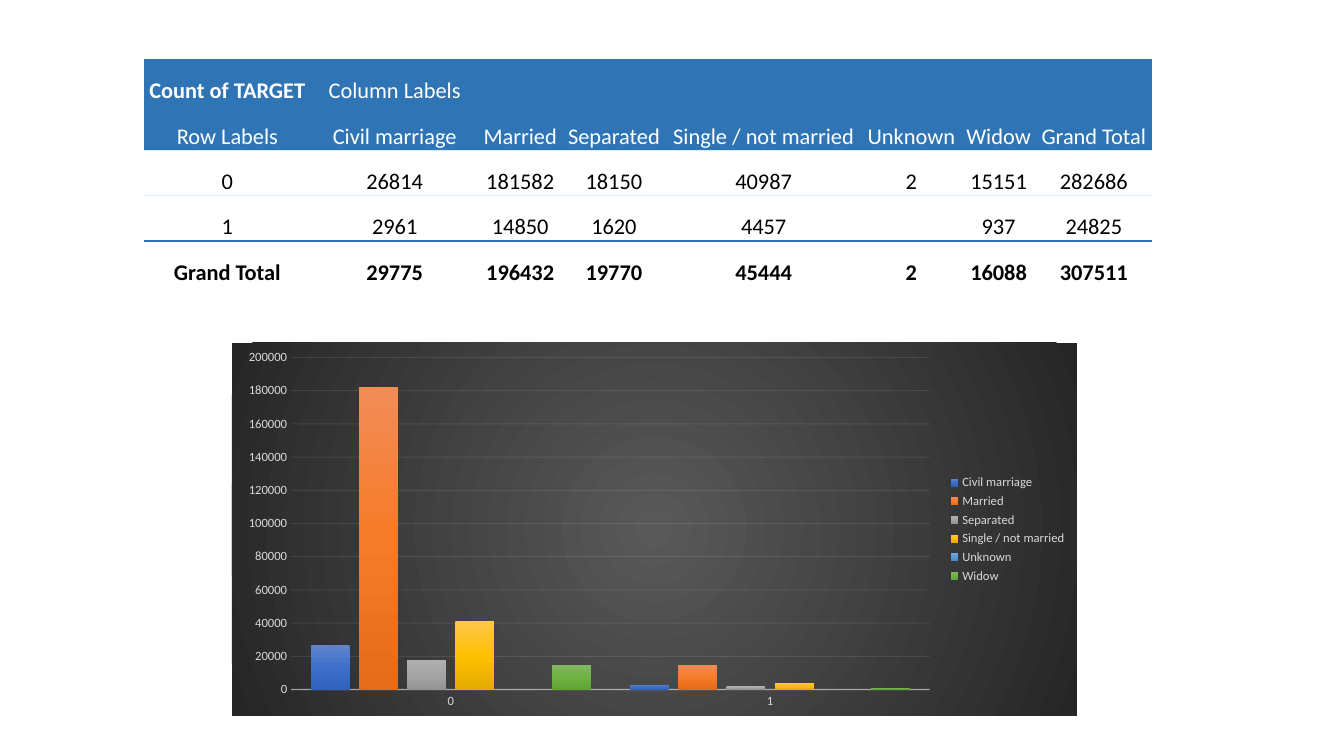
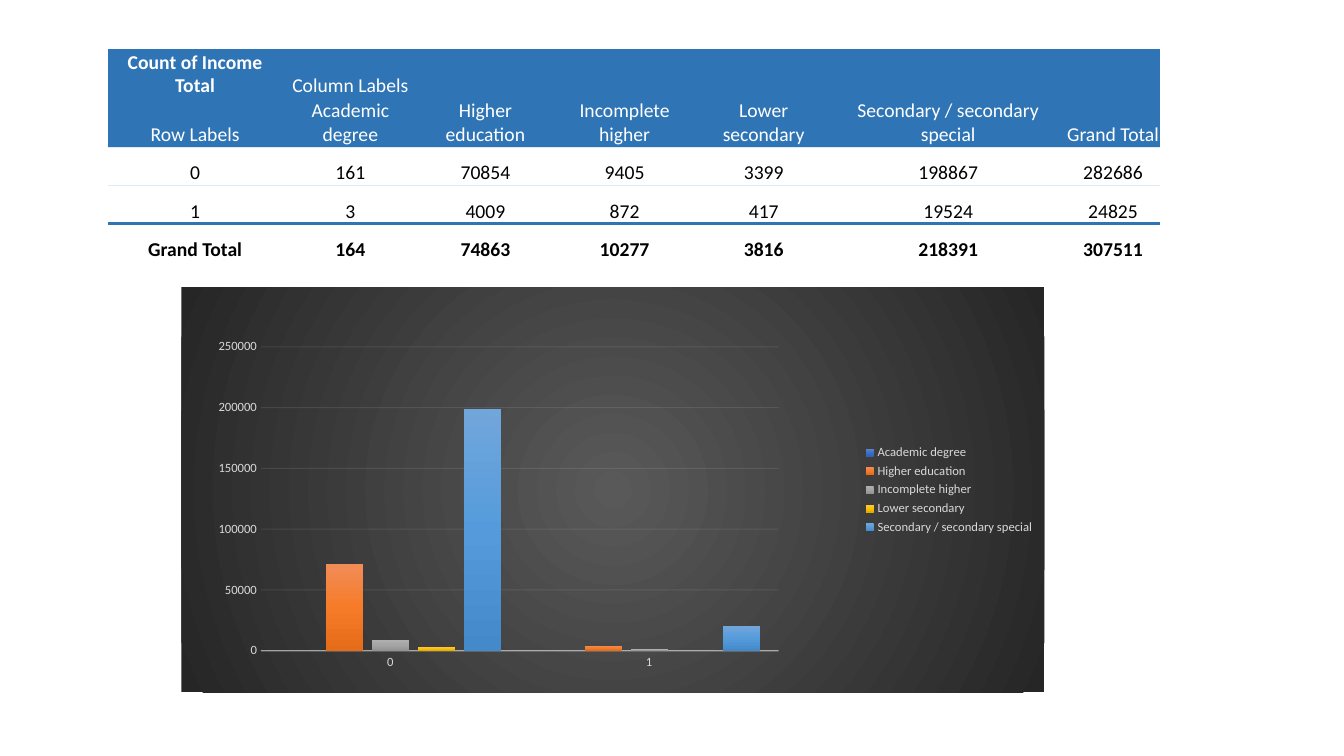
from dataclasses import dataclass

from lxml import etree
from pptx import Presentation
from pptx import util as u
from pptx.chart import data as cd
from pptx.dml import color as dc
from pptx.enum import chart as ec
from pptx.enum import text as et
from pptx.oxml import ns


@dataclass(frozen=True)
class Theme:
    font: str = "Calibri"
    blue: str = "2F75B5"
    pale: str = "DDEBF7"
    white: str = "FFFFFF"
    black: str = "000000"
    label: str = "D9D9D9"
    rule: str = "F2F2F2"
    small: int = 9
    base: int = 10
    panel: tuple = ("595959", "262626")
    bars: tuple = (
        ("6183CB", "3E70CA", "3062BB"),
        ("F18C57", "F67B28", "E56C19"),
        ("AFAFAF", "A5A5A5", "939393"),
        ("FFC64B", "FFC000", "E3AB00"),
        ("71A6DB", "559BDB", "448ACA"),
        ("81B861", "6FB242", "62A336"),
    )


def put(item, **vals):
    for key, val in vals.items():
        setattr(item, key, val)


def node(top, tag, **vals):
    return etree.SubElement(top, ns.qn(tag), {k: str(v) for k, v in vals.items()})


def trim(val):
    return None if val is None else round(val, -3)


class Deck:
    def __init__(self, theme):
        self.theme = theme
        self.deck = Presentation()
        put(self.deck, slide_width=u.Inches(13.33), slide_height=u.Inches(7.5))
        self.slide = None

    def page(self):
        self.slide = self.deck.slides.add_slide(self.deck.slide_layouts[6])

    def style(self, font, size, tint, bold=False):
        put(font, name=self.theme.font, size=u.Pt(size), bold=bold)
        font.color.rgb = dc.RGBColor.from_string(tint)

    def grade(self, top, tints, round_fill=False):
        fill = node(top, "a:gradFill", rotWithShape=1)
        stops = node(fill, "a:gsLst")
        for i, tint in enumerate(tints):
            stop = node(stops, "a:gs", pos=100000 * i // (len(tints) - 1))
            node(stop, "a:srgbClr", val=tint)
        if round_fill:
            way = node(fill, "a:path", path="circle")
            node(way, "a:fillToRect", **dict.fromkeys("ltrb", 50000))
        else:
            node(fill, "a:lin", ang=5400000, scaled=0)

    def edge(self, cell, tag, tint, width):
        line = node(cell._tc.get_or_add_tcPr(), tag, w=u.Pt(width))
        node(node(line, "a:solidFill"), "a:srgbClr", val=tint)

    def table(self, rows, spot, cols, high, size):
        t = self.theme
        left, top = spot
        box = [u.Inches(v) for v in (left, top, sum(cols), high * len(rows))]
        grid = self.slide.shapes.add_table(len(rows), len(cols), *box).table
        put(grid, first_row=False, horz_banding=False)
        grid._tbl.tblPr.find(ns.qn("a:tableStyleId")).text = "{2D5ABB26-0587-4C30-8999-92F81FD0307C}"
        for col, width in zip(grid.columns, cols):
            col.width = u.Inches(width)
        thin, pale, thick = (t.blue, 0.5), (t.pale, 0.5), (t.blue, 2)
        edges = [None, thin, pale, pale, thick, None]
        pad = u.Inches(0.01)
        form = dict(margin_left=pad, margin_top=pad, margin_right=pad, margin_bottom=0,
                    vertical_anchor=et.MSO_ANCHOR.BOTTOM)
        for r, row in enumerate(rows):
            grid.rows[r].height = u.Inches(high)
            head = r < 2
            for c in range(len(cols)):
                cell = grid.cell(r, c)
                put(cell, **form)
                for tag, look in zip(("a:lnT", "a:lnB"), edges[r:r + 2]):
                    if look:
                        self.edge(cell, tag, *look)
                if head:
                    cell.fill.solid()
                    cell.fill.fore_color.rgb = dc.RGBColor.from_string(t.blue)
                else:
                    cell.fill.background()
                if c < len(row) and row[c] is not None:
                    para = cell.text_frame.paragraphs[0]
                    para.alignment = et.PP_ALIGN.CENTER
                    run = para.add_run()
                    run.text = str(row[c])
                    bold = r == len(rows) - 1 or r == c == 0
                    self.style(run.font, size, t.white if head else t.black, bold)

    def chart(self, rows, box, plot=None):
        t = self.theme
        body = rows[2:-1]
        data = cd.CategoryChartData()
        data.categories = [row[0] for row in body]
        for c, name in enumerate(rows[1][1:-1], 1):
            data.add_series(name, [trim(row[c]) for row in body])
        chart = self.slide.shapes.add_chart(
            ec.XL_CHART_TYPE.COLUMN_CLUSTERED, *[u.Inches(v) for v in box], data).chart
        put(chart, has_title=False, has_legend=True)
        self.style(chart.font, t.base, t.black)
        put(chart.legend, position=ec.XL_LEGEND_POSITION.RIGHT, include_in_layout=False)
        self.style(chart.legend.font, t.small, t.label)
        put(chart.plots[0], gap_width=100, overlap=-24, vary_by_categories=False)

        cat, val = chart.category_axis, chart.value_axis
        none = ec.XL_TICK_MARK.NONE
        for axis in (cat, val):
            put(axis, major_tick_mark=none, minor_tick_mark=none)
            self.style(axis.tick_labels.font, t.small, t.label)
        val.format.line.fill.background()
        val.has_major_gridlines = True
        root = chart.element
        for part, width, alpha, where in (
                (cat, 1, 54, "c:catAx/c:spPr"),
                (val.major_gridlines, 0.75, 10, "c:valAx/c:majorGridlines")):
            line = part.format.line
            line.width = u.Pt(width)
            line.color.rgb = dc.RGBColor.from_string(t.rule)
            node(root.xpath(f".//{where}//a:srgbClr")[0], "a:alpha", val=alpha * 1000)

        for ser, tints in zip(root.iter(ns.qn("c:ser")), t.bars):
            self.grade(ser.get_or_add_spPr(), tints)
        panel = etree.Element(ns.qn("c:spPr"))
        self.grade(panel, t.panel, True)
        node(node(panel, "a:ln"), "a:noFill")
        root.find(ns.qn("c:chart")).addnext(panel)
        if plot:
            self.place(root.xpath(".//c:plotArea")[0], plot)

    def place(self, area, plot):
        for old in area.findall(ns.qn("c:layout")):
            area.remove(old)
        frame = etree.Element(ns.qn("c:layout"))
        spot = node(frame, "c:manualLayout")
        node(spot, "c:layoutTarget", val="inner")
        for key in "xy":
            node(spot, f"c:{key}Mode", val="edge")
        for key, share in zip("xywh", plot):
            node(spot, f"c:{key}", val=share / 100)
        area.insert(0, frame)


STATUS = [
    ["Count of TARGET", "Column Labels"],
    ["Row Labels", "Civil marriage", "Married", "Separated", "Single / not married",
     "Unknown", "Widow", "Grand Total"],
    ["0", 26814, 181582, 18150, 40987, 2, 15151, 282686],
    ["1", 2961, 14850, 1620, 4457, None, 937, 24825],
    ["Grand Total", 29775, 196432, 19770, 45444, 2, 16088, 307511],
]
SCHOOL = [
    ["Count of Income Total", "Column Labels"],
    ["Row Labels", "Academic degree", "Higher education", "Incomplete higher",
     "Lower secondary", "Secondary / secondary special", "Grand Total"],
    ["0", 161, 70854, 9405, 3399, 198867, 282686],
    ["1", 3, 4009, 872, 417, 19524, 24825],
    ["Grand Total", 164, 74863, 10277, 3816, 218391, 307511],
]


def main():
    deck = Deck(Theme())
    deck.page()
    deck.table(STATUS, (1.43, 0.59), (1.65, 1.67, 0.82, 1.04, 1.93, 1, 0.73, 1.16), 0.45, 16)
    deck.chart(STATUS, (2.3, 3.4, 8.38, 3.7))
    deck.page()
    deck.table(SCHOOL, (1.07, 0.49), (1.73, 1.35, 1.33, 1.43, 1.33, 2.33, 0.94), 0.38, 14)
    deck.chart(SCHOOL, (1.8, 2.85, 8.56, 4.02), (9.2, 14.7, 60, 75))
    deck.deck.save("out.pptx")


if __name__ == "__main__":
    main()
